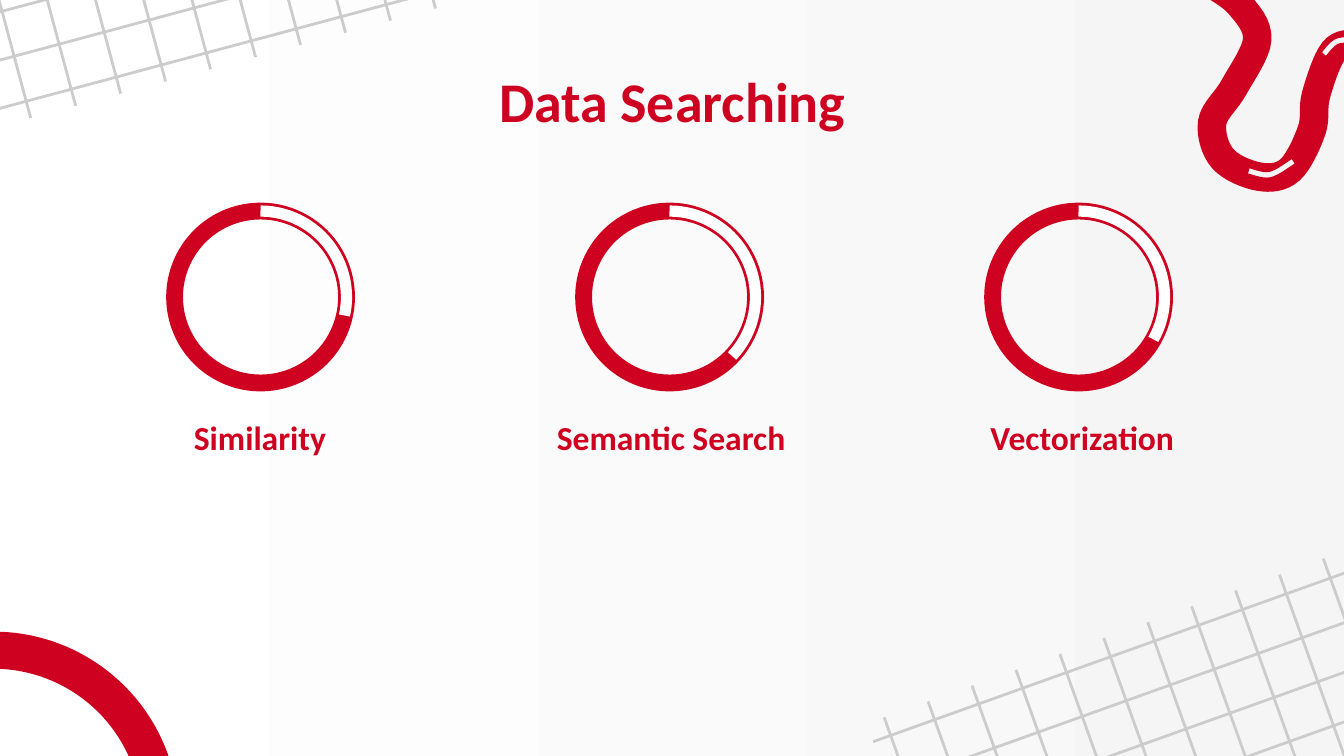
from dataclasses import dataclass
from math import hypot

from lxml import etree
from pptx import Presentation
from pptx.dml.color import RGBColor
from pptx.enum.shapes import MSO_CONNECTOR, MSO_SHAPE
from pptx.enum.text import MSO_ANCHOR, MSO_AUTO_SIZE, PP_ALIGN
from pptx.oxml.ns import qn
from pptx.util import Cm, Pt

RED = RGBColor(0xCE, 0x02, 0x20)
WHITE = RGBColor(0xFF, 0xFF, 0xFF)
PALE = RGBColor(0xF5, 0xF5, 0xF5)
GREY = RGBColor(0xCC, 0xCC, 0xCC)
STRAIGHT = MSO_CONNECTOR.STRAIGHT
OVAL, ARC, DONUT = MSO_SHAPE.OVAL, MSO_SHAPE.ARC, MSO_SHAPE.DONUT
MIDDLE, BOTTOM = MSO_ANCHOR.MIDDLE, MSO_ANCHOR.BOTTOM
CENTER, NO_FIT = PP_ALIGN.CENTER, MSO_AUTO_SIZE.NONE
FONT = "Calibri"
Point = tuple[float, float]


@dataclass
class Mesh:
    """Two sets of parallel lines at right angles, in cm."""
    start: Point
    count: int
    cross: Point
    rows: int
    step: Point
    span: Point


@dataclass
class Band:
    """A ribbon of even width along a smooth line, in cm."""
    half: float
    knots: list[Point]


@dataclass
class Topic:
    name: str
    angle: float  # end of the white arc, in degrees below 3 o'clock


MESHES = [
    Mesh((-2.57, -9.5), 10, (-3.25, 2.92), 3, (0.85, -0.23), (3.15, 11.73)),
    Mesh((16.71, 13.56), 11, (17.4, 16.51), 4, (0.83, -0.3), (4.09, 11.43)),
]
TOPICS = [Topic("Similarity", 12.42), Topic("Semantic Search", 43.34),
          Topic("Vectorization", 29.49)]

# The wave, then the two shines cut out of it
WAVE = [
    Band(0.27, [(22.86, -0.33), (23.42, 0.08), (23.76, 0.74), (23.32, 1.65),
                (22.91, 2.31), (23.11, 3), (23.8, 3.34), (24.38, 3.21),
                (24.79, 2.46), (24.87, 1.8), (25.2, 0.97), (25.63, 0.84),
                (26.04, 0.99), (26.62, 2.01), (27.2, 3.07), (27.79, 3.49),
                (28.22, 2.97), (28.35, 2.16), (28.52, 1.7), (28.96, 2.26),
                (29.29, 2.64), (29.85, 1.85), (30.33, 0.43)]),
    Band(0.05, [(23.6, 3.23), (24, 3.3), (24.44, 3.05)]),
    Band(0.05, [(25.02, 1.02), (25.3, 0.77), (25.84, 0.78)]),
]


def smooth(knots: list[Point], parts: int = 8) -> list[Point]:
    """Run a Catmull-Rom curve through the knots."""
    ends = [knots[0], *knots, knots[-1]]
    dots = [knots[0]]
    for a, b, c, d in zip(ends, ends[1:], ends[2:], ends[3:]):
        for n in range(1, parts + 1):
            t = n / parts
            dots.append(tuple(
                q + t / 2 * (r - p + t * (2 * p - 5 * q + 4 * r - s
                                          + t * (3 * (q - r) + s - p)))
                for p, q, r, s in zip(a, b, c, d)))
    return dots


def outline(band: Band) -> list[Point]:
    """Both edges of a band as one closed ring, in EMU."""
    dots = smooth(band.knots)
    left, right = [], []
    for i, (x, y) in enumerate(dots):
        (x0, y0), (x1, y1) = dots[max(i - 1, 0)], dots[min(i + 1, len(dots) - 1)]
        size = hypot(x1 - x0, y1 - y0)
        dx, dy = band.half * (y0 - y1) / size, band.half * (x1 - x0) / size
        left.append((Cm(x + dx), Cm(y + dy)))
        right.append((Cm(x - dx), Cm(y - dy)))
    return left + right[::-1]


def paint(shape, fill: RGBColor | None, line: RGBColor | None = None,
          width: float = 0) -> None:
    shape.shadow.inherit = False
    if fill is None:
        shape.fill.background()
    else:
        shape.fill.solid()
        shape.fill.fore_color.rgb = fill
    if line is None:
        shape.line.fill.background()
    else:
        shape.line.color.rgb = line
        shape.line.width = Pt(width)


def draw_lines(slide, start: Point, count: int, step: Point, span: Point) -> None:
    for i in range(count):
        x, y = (a + i * b for a, b in zip(start, step))
        line = slide.shapes.add_connector(
            STRAIGHT, Cm(x), Cm(y), Cm(x + span[0]), Cm(y + span[1]))
        line.line.color.rgb = GREY
        line.line.width = Pt(1.5)
        etree.SubElement(line._element.spPr, qn("a:effectLst"))


def draw_mesh(slide, mesh: Mesh) -> None:
    (dx, dy), (w, h) = mesh.step, mesh.span
    draw_lines(slide, mesh.start, mesh.count, (dx, dy), (w, h))
    draw_lines(slide, mesh.cross, mesh.rows, (dy, -dx), (h, -w))


def draw_wave(slide) -> None:
    rings = [outline(band) for band in WAVE]
    pen = slide.shapes.build_freeform(*rings[0][0])
    for i, ring in enumerate(rings):
        if i:
            pen.move_to(*ring[0])
        pen.add_line_segments(ring[1:])
    paint(pen.convert_to_shape(), RED)


def set_text(holder, text: str, box: tuple[float, float, float, float],
             size: float, anchor: MSO_ANCHOR) -> None:
    holder.left, holder.top, holder.width, holder.height = map(Cm, box)
    frame = holder.text_frame
    frame.text = text
    frame.word_wrap = True
    frame.auto_size = NO_FIT
    frame.vertical_anchor = anchor
    frame.margin_left = frame.margin_right = Cm(0.25)
    frame.margin_top = frame.margin_bottom = Cm(0.25)
    para = frame.paragraphs[0]
    para.alignment = CENTER
    para.space_before = Pt(0)
    para.font.name, para.font.size, para.font.bold = FONT, Pt(size), True
    para.font.color.rgb = RED
    # No bullet or indent
    props = para._p.get_or_add_pPr()
    props.set("marL", "0")
    props.set("indent", "0")
    props.find(qn("a:spcBef")).addnext(etree.Element(qn("a:buNone")))


def draw_topic(slide, topic: Topic, col: int) -> None:
    box = [Cm(v) for v in (3.3 + 7.73 * col, 3.99, 3.25, 3.25)]
    paint(slide.shapes.add_shape(OVAL, *box), None, RED, 9)
    arc = slide.shapes.add_shape(ARC, *box)
    arc.adjustments[0] = 270 * 0.6
    arc.adjustments[1] = topic.angle * 0.6
    paint(arc, None, WHITE, 6)
    set_text(slide.placeholders[col + 1], topic.name,
             (1.55 + 7.77 * col, 7.42, 6.73, 1.47), 18, BOTTOM)


def main() -> None:
    deck = Presentation()
    deck.slide_width, deck.slide_height = Cm(25.4), Cm(14.29)
    slide = deck.slides.add_slide(deck.slide_layouts[4])

    # Background
    back = slide.background.fill
    back.gradient()
    back.gradient_angle = 0
    for stop, place, color in zip(back.gradient_stops, (0, 1), (WHITE, PALE)):
        stop.position, stop.color.rgb = place, color

    # Corner decoration
    for mesh in MESHES:
        draw_mesh(slide, mesh)
    ring = slide.shapes.add_shape(DONUT, Cm(-3.63), Cm(11.94), Cm(7.01), Cm(7.01))
    ring.adjustments[0] = 0.1
    paint(ring, RED)
    draw_wave(slide)

    # Title and topics
    set_text(slide.shapes.title, "Data Searching", (2.12, 1.09, 21.18, 1.6), 30, MIDDLE)
    for col, topic in enumerate(TOPICS):
        draw_topic(slide, topic, col)
    spare = slide.placeholders[4]._element
    spare.getparent().remove(spare)

    deck.save("out.pptx")


if __name__ == "__main__":
    main()
